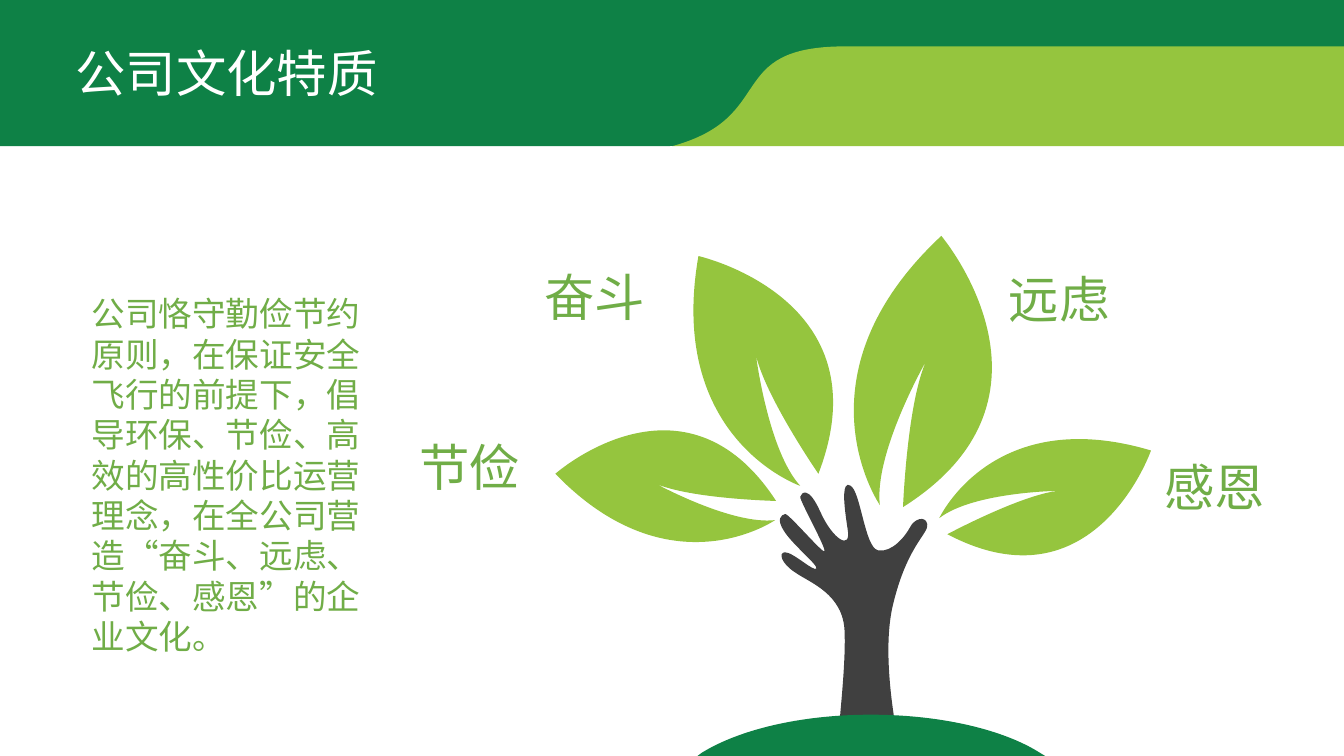
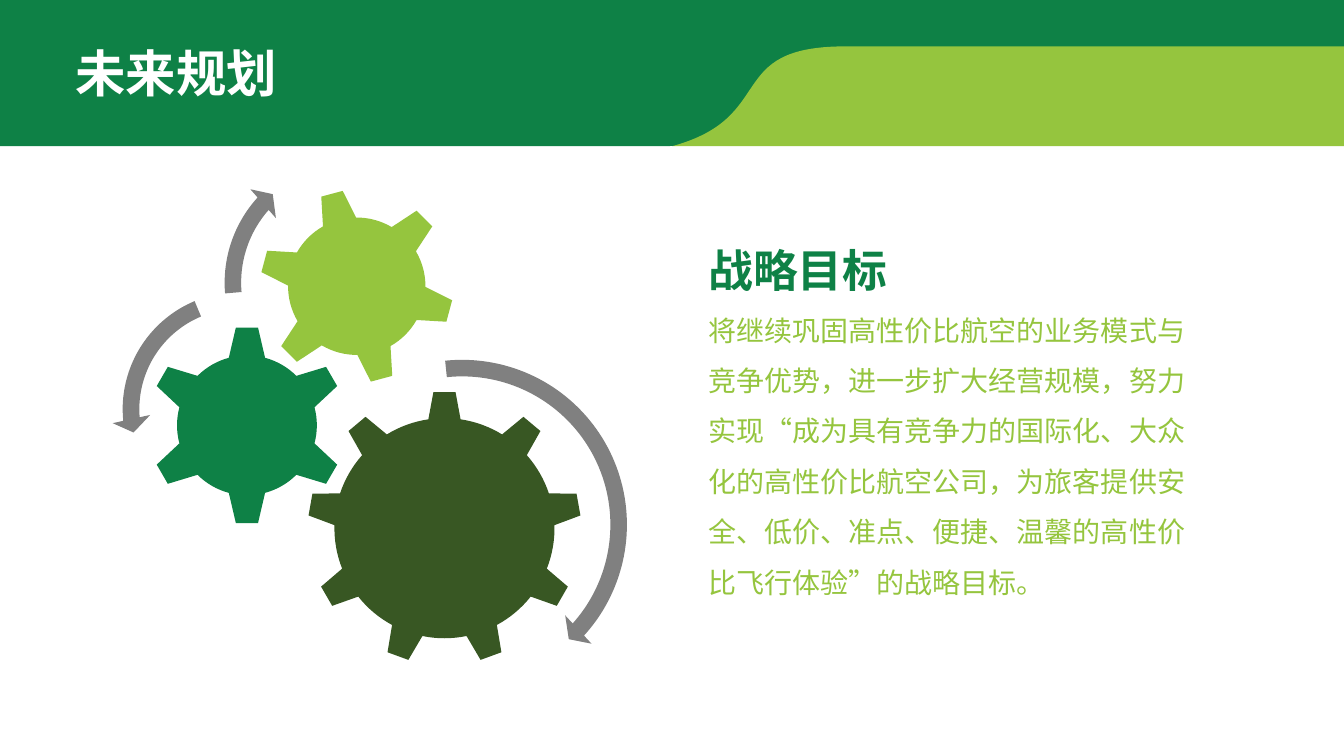
from math import atan, atan2, hypot, pi, radians, sin, cos, tan

from pptx import Presentation
from pptx.dml.color import RGBColor
from pptx.enum.shapes import MSO_SHAPE
from pptx.enum.text import MSO_ANCHOR, MSO_AUTO_SIZE
from pptx.oxml.ns import qn
from pptx.util import Cm, Pt

GREEN = RGBColor(0x0E, 0x81, 0x46)
LIME = RGBColor(0x95, 0xC5, 0x3E)
LEAF_TEXT = RGBColor(0x70, 0xAD, 0x47)
FOREST = RGBColor(0x38, 0x57, 0x23)
CHARCOAL = RGBColor(0x40, 0x40, 0x40)
GRAY = RGBColor(0x80, 0x80, 0x80)
WHITE = RGBColor(0xFF, 0xFF, 0xFF)
FONT = "Arial"
UNIT = 2.54
RIGHT = 33.87 / UNIT


def outline(slide, start, steps, color):
    points = [start]
    for step in steps:
        points += zip(step[::2], step[1::2])
    points = [(Cm(UNIT * x), Cm(UNIT * y)) for x, y in points]
    builder = slide.shapes.build_freeform(*points[0])
    builder.add_line_segments(points[1:], close=True)
    shape = builder.convert_to_shape()
    segments = iter(list(shape._element.iter(qn("a:lnTo"))))
    for step in steps:
        segment = next(segments)
        if len(step) == 6:
            segment.tag = qn("a:cubicBezTo")
            for follower in (next(segments), next(segments)):
                segment.append(follower[0])
                follower.getparent().remove(follower)
    shape.shadow.inherit = False
    shape.fill.solid()
    shape.fill.fore_color.rgb = color
    shape.line.fill.background()


def write(slide, box, paragraphs, wrap=True, spacing=None, anchor=MSO_ANCHOR.TOP, inset=(0.1, 0.05)):
    frame = slide.shapes.add_textbox(*[Cm(UNIT * v) for v in box]).text_frame
    side, edge = [Cm(UNIT * v) for v in inset]
    settings = {
        "word_wrap": wrap, "auto_size": MSO_AUTO_SIZE.SHAPE_TO_FIT_TEXT, "vertical_anchor": anchor,
        "margin_left": side, "margin_right": side, "margin_top": edge, "margin_bottom": edge,
    }
    for name, value in settings.items():
        setattr(frame, name, value)
    for i, (text, size, color, bold) in enumerate(paragraphs):
        paragraph = frame.add_paragraph() if i else frame.paragraphs[0]
        if spacing:
            paragraph.line_spacing = spacing
        run = paragraph.add_run()
        run.text = text
        for name, value in {"name": FONT, "size": Pt(size), "bold": bold}.items():
            setattr(run.font, name, value)
        run.font.color.rgb = color


deck = Presentation()
deck.slide_width, deck.slide_height = Cm(33.87), Cm(19.05)

slides = []
for title, width, bold in [("公司文化特质", 3.2, False), ("未来规划", 2.2, True)]:
    slide = deck.slides.add_slide(deck.slide_layouts[6])
    outline(slide, (0, 0), [
        (RIGHT, 0), (RIGHT, 0.5), (8.27, 0.5), (8.09, 0.56),
        (7.27, 0.86, 7.7, 1.45, 6.55, 1.45), (0.12, 1.45), (0, 1.45),
    ], GREEN)
    outline(slide, (8.39, 0.46), [
        (RIGHT, 0.46), (RIGHT, 1.45), (6.67, 1.45),
        (7.73, 1.16, 7.17, 0.46, 8.39, 0.46),
    ], LIME)
    write(slide, (0.65, 0.37, width, 0.71), [(title, 36, WHITE, bold)], wrap=False)
    slides.append(slide)
culture, plan = slides

outline(culture, (8.41, 4.81), [
    (8.42, 4.81, 8.43, 4.81, 8.44, 4.82), (8.54, 4.88, 8.58, 5.43, 8.71, 5.46),
    (8.85, 5.49, 8.99, 5.31, 9.03, 5.23), (9.07, 5.15, 9.18, 5.11, 9.2, 5.2),
    (9.22, 5.29, 9, 5.41, 8.86, 6), (8.78, 6.33, 8.82, 6.78, 8.87, 7.11),
    (8.88, 7.17), (8.33, 7.17), (8.33, 7.16),
    (8.35, 6.93, 8.39, 6.53, 8.38, 6.27), (8.37, 5.89, 8.03, 5.78, 7.89, 5.68),
    (7.75, 5.59, 7.72, 5.48, 7.79, 5.48), (7.87, 5.48, 8.08, 5.68, 8.1, 5.64),
    (8.12, 5.61, 7.86, 5.4, 7.78, 5.27), (7.7, 5.15, 7.75, 5.11, 7.79, 5.1),
    (7.82, 5.09, 8.16, 5.49, 8.18, 5.47), (8.2, 5.44, 7.93, 4.96, 7.94, 4.93),
    (7.95, 4.89, 8.02, 4.81, 8.14, 5.08), (8.26, 5.35, 8.45, 5.47, 8.41, 5.25),
    (8.38, 5.05, 8.35, 4.83, 8.41, 4.81),
], CHARCOAL)

leaves = [
    ((8.73, 5.01), [(8.73, 5.01, 7.85, 3.73, 9.34, 2.34), (9.34, 2.34, 10.69, 3.94, 8.96, 5.03),
                    (8.96, 5.03, 9, 4, 9.19, 3.58), (9.19, 3.58, 8.67, 4.49, 8.73, 5.01)]),
    ((9.32, 5.14), [(9.32, 5.14, 9.85, 4, 11.42, 4.47), (11.42, 4.47, 10.86, 6.07, 9.4, 5.3),
                    (9.4, 5.3, 10.13, 4.91, 10.5, 4.87), (10.5, 4.87, 9.66, 4.88, 9.32, 5.14)]),
    ((7.69, 5.16), [(7.69, 5.16, 6.65, 5.88, 5.51, 4.7), (5.51, 4.7, 6.79, 3.57, 7.7, 4.97),
                    (7.7, 4.97, 6.86, 4.95, 6.51, 4.8), (6.51, 4.8, 7.26, 5.21, 7.69, 5.16)]),
    ((7.94, 4.82), [(7.94, 4.82, 6.61, 4.36, 6.93, 2.54), (6.93, 2.54, 8.79, 2.96, 8.12, 4.7),
                    (8.12, 4.7, 7.59, 3.93, 7.5, 3.52), (7.5, 3.52, 7.62, 4.47, 7.94, 4.82)]),
]
for stem, edges in leaves:
    outline(culture, stem, edges, LIME)

traits = [
    ("节俭", (4.03, 4.26, 1.48, 0.74), None),
    ("奋斗", (5.27, 2.57, 3.41, 0.74), None),
    ("远虑", (9.88, 2.29, 3.41, 1.04), 1.5),
    ("感恩", (11.42, 4.45, 1.9, 0.74), None),
]
for trait, box, spacing in traits:
    write(culture, box, [(trait, 36, LEAF_TEXT, False)], spacing=spacing,
          anchor=MSO_ANCHOR.MIDDLE, inset=(0.13, 0.07))

outline(culture, (8.64, 7.09), [
    (9.34, 7.09, 9.96, 7.24, 10.32, 7.47), (10.37, 7.5), (6.92, 7.5), (6.96, 7.47),
    (7.33, 7.24, 7.94, 7.09, 8.64, 7.09),
], GREEN)
principle = ("公司恪守勤俭节约原则，在保证安全飞行的前提下，倡导环保、节俭、高效的高性价比运营理念，"
             "在全公司营造“奋斗、远虑、节俭、感恩”的企业文化。")
write(culture, (0.81, 2.86, 3.05, 3.73), [(principle, 24, LEAF_TEXT, False)])

gears = [
    (4.41, 5.24, 9, 0, 1.35, 1.08, 0.16, FOREST),
    (2.45, 4.22, 6, 0, 0.97, 0.67, 0.18, GREEN),
    (3.54, 2.84, 6, -15, 0.95, 0.66, 0.17, LIME),
]
for center_x, center_y, teeth, turn, tip, root, root_half, color in gears:
    body, root_angle = hypot(root, root_half), atan2(root_half, root)
    crown, crown_angle = hypot(tip, 0.11), atan2(0.11, tip)
    pitch = 2 * pi / teeth
    bulge = 4 / 3 * tan((pitch - 2 * root_angle) / 4)
    handle, lean = body * hypot(1, bulge), atan(bulge)
    rim = []
    for tooth in range(teeth):
        middle = radians(turn) + tooth * pitch
        valley_start, valley_end = middle + root_angle, middle + pitch - root_angle
        edges = [
            [(crown, middle - crown_angle)],
            [(crown, middle + crown_angle)],
            [(body, valley_start)],
            [(handle, valley_start + lean), (handle, valley_end - lean), (body, valley_end)],
        ]
        for edge in edges:
            rim.append([v for r, a in edge for v in (center_x + r * sin(a), center_y - r * cos(a))])
    outline(plan, tuple(rim[-1][-2:]), rim, color)

rotations = [
    (MSO_SHAPE.CIRCULAR_ARROW, 2.84, 3.46, 3.49, (0.047, 2.99, 25.237, 158.45, 0.055)),
    (MSO_SHAPE.LEFT_CIRCULAR_ARROW, 1.11, 2.79, 2.54, (0.065, 4.3, 104.891, 148.378, 0.075)),
    (MSO_SHAPE.CIRCULAR_ARROW, 2.12, 1.44, 2.73, (0.06, 3.941, 133.138, 105.082, 0.07)),
]
for kind, left, top, size, bends in rotations:
    arrow = plan.shapes.add_shape(kind, *[Cm(UNIT * v) for v in (left, top, size, size)])
    for i, bend in enumerate(bends):
        arrow.adjustments[i] = bend
    arrow.shadow.inherit = False
    arrow.fill.solid()
    arrow.fill.fore_color.rgb = GRAY
    arrow.line.fill.background()

goal = ("将继续巩固高性价比航空的业务模式与竞争优势，进一步扩大经营规模，努力实现"
        "“成为具有竞争力的国际化、大众化的高性价比航空公司，"
        "为旅客提供安全、低价、准点、便捷、温馨的高性价比飞行体验”的战略目标。")
write(plan, (6.93, 2.09, 4.95, 3.94),
      [("战略目标", 32, GREEN, True), (goal, 20, LIME, False)], spacing=1.5)

deck.save("out.pptx")
